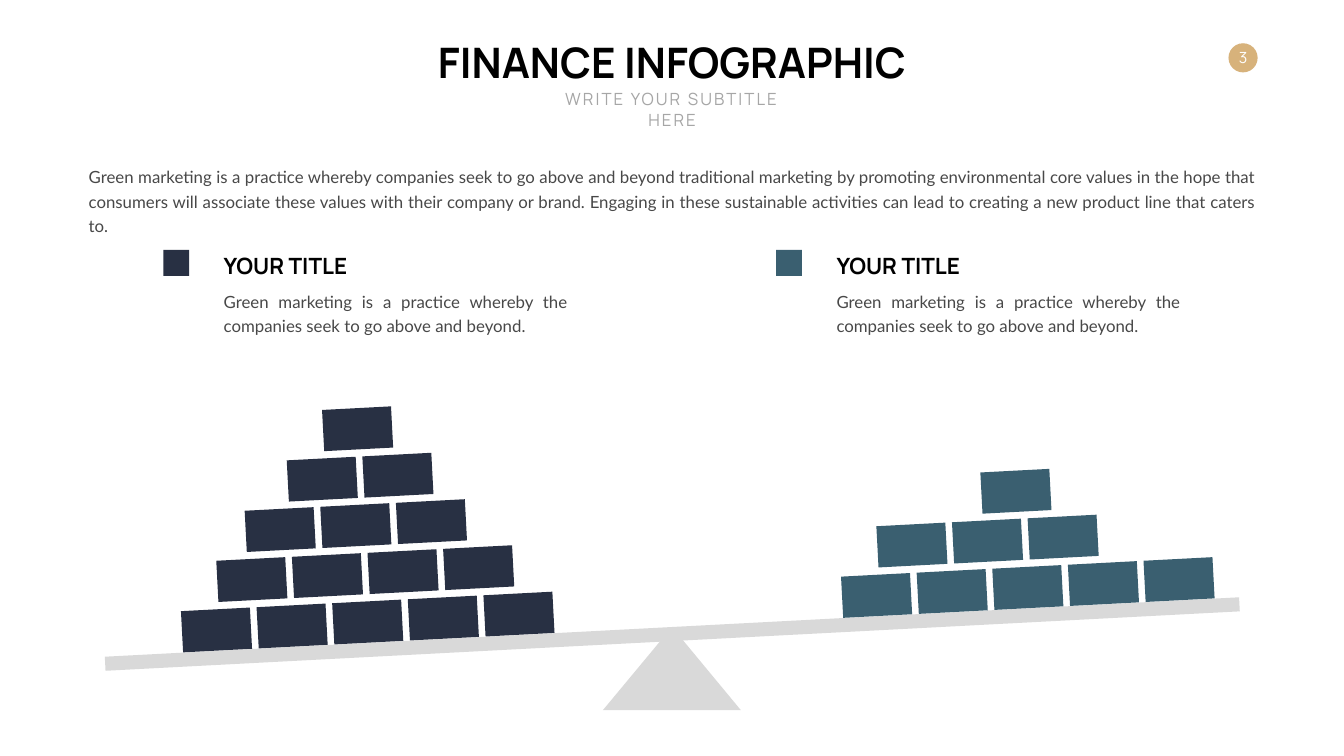
"""Build a finance infographic slide: two stacks of bricks on a tilted balance."""
from dataclasses import dataclass

from pptx import Presentation
from pptx.dml.color import RGBColor
from pptx.enum.shapes import MSO_SHAPE as SHAPE
from pptx.enum.text import MSO_ANCHOR as ANCHOR, MSO_AUTO_SIZE as FIT, PP_ALIGN as ALIGN
from pptx.util import Cm, Pt


@dataclass(frozen=True)
class Theme:
    heading_font: str = "Manrope"
    body_font: str = "Lato"
    black: str = "000000"
    white: str = "FFFFFF"
    text: str = "484848"
    muted: str = "A6A6A6"
    grey: str = "D9D9D9"
    gold: str = "D7B27B"
    navy: str = "283043"
    teal: str = "3A5F70"
    title_size: int = 60
    heading_size: int = 32
    body_size: int = 24
    badge_size: int = 22
    leading: int = 35


THEME = Theme()
TILT = -3
BRICK_SIZE = (3.48, 2.08)
BRICK_STEP = (3.81, -0.2)
LEFT_ROWS = [(9.17, 30.71, 5), (10.95, 28.17, 4), (12.38, 25.65, 3),
             (14.5, 23.11, 2), (16.28, 20.57, 1)]
RIGHT_ROWS = [(42.43, 28.97, 5), (44.21, 26.43, 3), (49.45, 23.72, 1)]
INTRO = (
    "Green marketing is a practice whereby companies seek to go above and beyond "
    "traditional marketing by promoting environmental core values in the hope that "
    "consumers will associate these values with their company or brand. Engaging in "
    "these sustainable activities can lead to creating a new\u00a0product line that caters to."
)
SUMMARY = "Green marketing is a practice whereby the companies seek to go above and beyond."


def paint(sp, color):
    sp.shadow.inherit = False
    sp.fill.solid()
    sp.fill.fore_color.rgb = RGBColor.from_string(color)
    sp.line.fill.background()


def add_shape(shapes, kind, box, color, rotation=0):
    sp = shapes.add_shape(kind, *map(Cm, box))
    sp.rotation = rotation
    paint(sp, color)
    return sp


def set_text(sp, text, size, color, font=THEME.heading_font, bold=False,
             align=ALIGN.LEFT, anchor=ANCHOR.TOP, wrap=True):
    tf = sp.text_frame
    tf.text = text
    tf.word_wrap = wrap
    tf.auto_size = FIT.NONE
    tf.vertical_anchor = anchor
    p = tf.paragraphs[0]
    p.alignment = align
    p.font.name = font
    p.font.size = Pt(size)
    p.font.bold = bold
    p.font.color.rgb = RGBColor.from_string(color)
    return p


def add_text(s, box, text, size, color, **style):
    return set_text(s.shapes.add_textbox(*map(Cm, box)), text, size, color, **style)


def add_body(s, box, text):
    p = add_text(s, box, text, THEME.body_size, THEME.text,
                 font=THEME.body_font, align=ALIGN.JUSTIFY)
    p.line_spacing = Pt(THEME.leading)


def add_header(s):
    title = s.shapes.title
    title.left, title.top, title.width, title.height = map(Cm, (21.26, 1.7, 25.2, 2.82))
    set_text(title, "FINANCE INFOGRAPHIC", THEME.title_size, THEME.black, bold=True,
             align=ALIGN.CENTER, wrap=False)
    p = add_text(s, (26.97, 4.37, 13.79, 1.27), "WRITE YOUR SUBTITLE HERE",
                 THEME.body_size, THEME.muted, align=ALIGN.CENTER)
    p.runs[0]._r.get_or_add_rPr().set("spc", "300")
    add_body(s, (4.22, 8.08, 59.26, 2.62), INTRO)


def add_badge(s, number):
    sp = add_shape(s.shapes, SHAPE.OVAL, (61.9, 2.18, 1.47, 1.47), THEME.gold)
    set_text(sp, number, THEME.badge_size, THEME.white, align=ALIGN.CENTER,
             anchor=ANCHOR.MIDDLE)
    tf = sp.text_frame
    tf.margin_left = tf.margin_right = tf.margin_top = tf.margin_bottom = 0


def add_balance(s):
    group = s.shapes.add_group_shape()
    outline = group.shapes.build_freeform(Cm(33.86), Cm(31.6))
    outline.add_line_segments([(Cm(37.33), Cm(35.79)), (Cm(30.38), Cm(35.79))])
    paint(outline.convert_to_shape(), THEME.grey)
    add_shape(group.shapes, SHAPE.RECTANGLE, (5.26, 31.6, 57.23, 0.71), THEME.grey, TILT)


def add_stack(s, rows, color):
    group = s.shapes.add_group_shape()
    dx, dy = BRICK_STEP
    for left, top, count in rows:
        for i in range(count):
            box = (left + i * dx, top + i * dy, *BRICK_SIZE)
            add_shape(group.shapes, SHAPE.RECTANGLE, box, color, TILT)


def add_legend(s, left, color):
    add_shape(s.shapes, SHAPE.RECTANGLE, (left, 12.6, 1.3, 1.3), color)
    text_left = left + 2.79
    add_text(s, (text_left, 12.57, 6.81, 1.63), "YOUR TITLE", THEME.heading_size,
             THEME.black, bold=True, anchor=ANCHOR.MIDDLE, wrap=False)
    add_body(s, (text_left, 14.35, 17.81, 2.62), SUMMARY)


def main():
    prs = Presentation()
    prs.slide_width, prs.slide_height = Cm(67.72), Cm(38.1)
    s = prs.slides.add_slide(prs.slide_layouts[5])
    add_badge(s, "3")
    add_balance(s)
    add_stack(s, LEFT_ROWS, THEME.navy)
    add_stack(s, RIGHT_ROWS, THEME.teal)
    add_header(s)
    for left, color in ((8.23, THEME.navy), (39.11, THEME.teal)):
        add_legend(s, left, color)
    prs.save("out.pptx")


main()
